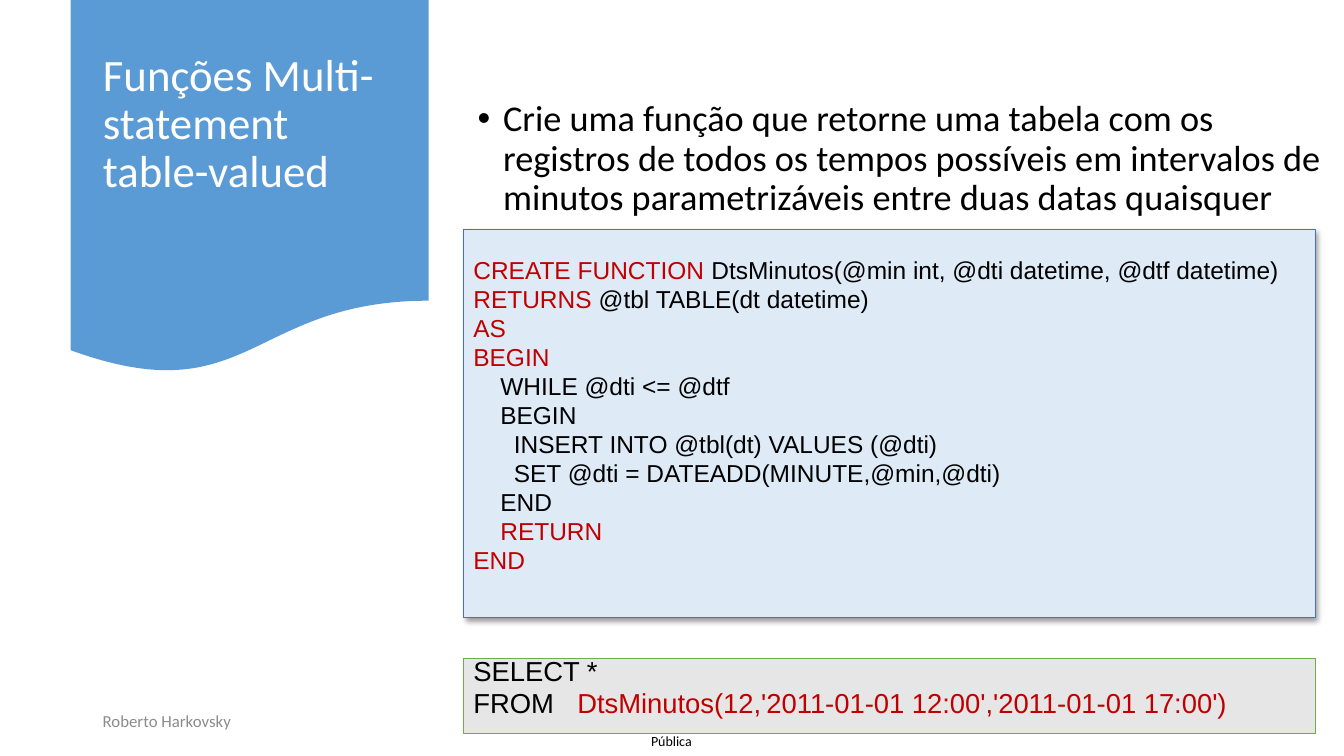
from lxml import etree
from pptx import Presentation
from pptx.dml.color import RGBColor
from pptx.enum.shapes import MSO_SHAPE
from pptx.enum.text import MSO_ANCHOR, MSO_AUTO_SIZE, PP_ALIGN
from pptx.oxml.ns import qn
from pptx.util import Cm, Pt

BLACK = RGBColor(0x00, 0x00, 0x00)
WHITE = RGBColor(0xFF, 0xFF, 0xFF)
GRAY = RGBColor(0x8C, 0x8C, 0x8C)
RED = RGBColor(0xC0, 0x00, 0x00)
BANNER_BLUE = RGBColor(0x5B, 0x9B, 0xD5)
CODE_FILL = RGBColor(0xDE, 0xEB, 0xF7)
CODE_LINE = RGBColor(0x44, 0x72, 0xC4)
QUERY_FILL = RGBColor(0xE7, 0xE6, 0xE6)
QUERY_LINE = RGBColor(0x70, 0xAD, 0x47)

BOX_LEFT, BOX_WIDTH = Cm(11.68), Cm(21.46)
INDENT_STEP = Cm(0.34)

# Each code line: indent steps, then (text, colour) pieces
FUNCTION_CODE = [
    (0, [("CREATE FUNCTION ", RED),
         ("DtsMinutos(@min int, @dti datetime, @dtf datetime)", BLACK)]),
    (0, [("RETURNS", RED), (" @tbl TABLE(dt datetime)", BLACK)]),
    (0, [("AS", RED)]),
    (0, [("BEGIN", RED)]),
    (2, [("WHILE @dti <= @dtf", BLACK)]),
    (2, [("BEGIN", BLACK)]),
    (3, [("INSERT INTO @tbl(dt) VALUES (@dti)", BLACK)]),
    (3, [("SET @dti = DATEADD(MINUTE,@min,@dti)", BLACK)]),
    (2, [("END", BLACK)]),
    (2, [("RETURN", RED)]),
    (0, [("END", RED)]),
]
QUERY_CODE = [
    (0, [("SELECT *", BLACK)]),
    (0, [("FROM\t", BLACK),
         ("DtsMinutos(12,'2011-01-01 12:00','2011-01-01 17:00')", RED)]),
]


def format_run(run, font_name, size, color):
    run.font.name = font_name
    run.font.size = Pt(size)
    run.font.color.rgb = color


def fill_text(shape, text, size, color, anchor=MSO_ANCHOR.TOP):
    """Put one Calibri paragraph in a shape and return the paragraph."""
    text_frame = shape.text_frame
    text_frame.text = text
    text_frame.word_wrap = True
    text_frame.auto_size = MSO_AUTO_SIZE.NONE
    text_frame.vertical_anchor = anchor
    paragraph = text_frame.paragraphs[0]
    paragraph.alignment = PP_ALIGN.LEFT
    format_run(paragraph.runs[0], "Calibri", size, color)
    return paragraph


def add_filled_shape(slide, kind, left, top, width, height, fill, line=None):
    shape = slide.shapes.add_shape(kind, left, top, width, height)
    shape.shadow.inherit = False
    shape.fill.solid()
    shape.fill.fore_color.rgb = fill
    if line is None:
        shape.line.fill.background()
    else:
        shape.line.color.rgb = line
        shape.line.width = Pt(0.5)
    return shape


def add_code_box(slide, top, height, fill, line, code, size):
    box = add_filled_shape(slide, MSO_SHAPE.RECTANGLE, BOX_LEFT, top,
                           BOX_WIDTH, height, fill, line)
    text_frame = box.text_frame
    text_frame.word_wrap = True
    text_frame.vertical_anchor = MSO_ANCHOR.TOP
    for index, (steps, pieces) in enumerate(code):
        paragraph = text_frame.add_paragraph() if index else text_frame.paragraphs[0]
        paragraph.alignment = PP_ALIGN.LEFT
        paragraph.line_spacing = 0.7
        paragraph.space_after = Pt(6)
        if steps:
            properties = paragraph._p.get_or_add_pPr()
            properties.set("marL", str(steps * INDENT_STEP))
            properties.set("indent", "0")
        for text, color in pieces:
            run = paragraph.add_run()
            run.text = text
            format_run(run, "Arial", size, color)
    return box


def add_shadow(shape):
    effects = shape._element.spPr.find(qn("a:effectLst"))
    shadow = etree.SubElement(effects, qn("a:outerShdw"), blurRad=str(Pt(4)),
                              dist=str(Pt(3)), dir="2700000", algn="tl")
    color = etree.SubElement(shadow, qn("a:srgbClr"), val="000000")
    etree.SubElement(color, qn("a:alpha"), val="40000")


def add_tab_stop(paragraph, position):
    tabs = etree.SubElement(paragraph._p.get_or_add_pPr(), qn("a:tabLst"))
    etree.SubElement(tabs, qn("a:tab"), pos=str(position), algn="l")


def add_bullet(paragraph, indent):
    properties = paragraph._p.get_or_add_pPr()
    properties.set("marL", str(indent))
    properties.set("indent", str(-indent))
    etree.SubElement(properties, qn("a:buFont"), typeface="Arial")
    etree.SubElement(properties, qn("a:buChar"), char="•")


def place_title(slide, text):
    title = slide.shapes.title
    title.left, title.top, title.width, title.height = Cm(2.34), Cm(0.48), Cm(7.9), Cm(6.58)
    paragraph = fill_text(title, text, 32, WHITE, MSO_ANCHOR.MIDDLE)
    paragraph.line_spacing = 0.9
    title.text_frame.margin_bottom = Cm(1.37)
    # Bring the title in front of the banner
    slide.shapes._spTree.append(title._element)


def main():
    presentation = Presentation()
    presentation.slide_width, presentation.slide_height = Cm(33.87), Cm(19.05)
    slide = presentation.slides.add_slide(presentation.slide_layouts[5])

    # Classification label
    label = slide.shapes.add_textbox(Cm(16.03), Cm(18.31), Cm(1.78), Cm(0.74))
    paragraph = fill_text(label, "Pública", 10, BLACK, MSO_ANCHOR.MIDDLE)
    paragraph.alignment = PP_ALIGN.CENTER
    frame = label.text_frame
    frame.margin_left = frame.margin_right = frame.margin_top = frame.margin_bottom = 0

    # Banner with title
    add_filled_shape(slide, MSO_SHAPE.FLOWCHART_DOCUMENT, Cm(1.78), 0,
                     Cm(9.02), Cm(9.45), BANNER_BLUE)
    place_title(slide, "Funções Multi-statement table-valued")

    # Function definition and the query that calls it
    function_box = add_code_box(slide, Cm(5.79), Cm(9.78), CODE_FILL, CODE_LINE,
                                FUNCTION_CODE, 17.5)
    function_box.text_frame.margin_top = Cm(0.85)
    add_shadow(function_box)
    query_box = add_code_box(slide, Cm(16.59), Cm(1.88), QUERY_FILL, QUERY_LINE,
                             QUERY_CODE, 19.6)
    add_tab_stop(query_box.text_frame.paragraphs[1], Cm(2.62))

    # Exercise statement
    exercise = slide.shapes.add_textbox(Cm(11.79), Cm(2.41), Cm(21.77), Cm(3.4))
    paragraph = fill_text(
        exercise,
        "Crie uma função que retorne uma tabela com os registros de todos os tempos "
        "possíveis em intervalos de minutos parametrizáveis entre duas datas quaisquer",
        25.9, BLACK)
    paragraph.line_spacing = 0.9
    add_bullet(paragraph, Cm(0.64))

    # Author
    author = slide.shapes.add_textbox(Cm(2.34), Cm(17.65), Cm(16.56), Cm(1.02))
    paragraph = fill_text(author, "Roberto Harkovsky", 12, GRAY, MSO_ANCHOR.MIDDLE)
    paragraph.space_after = Pt(6)

    presentation.save("out.pptx")


main()
